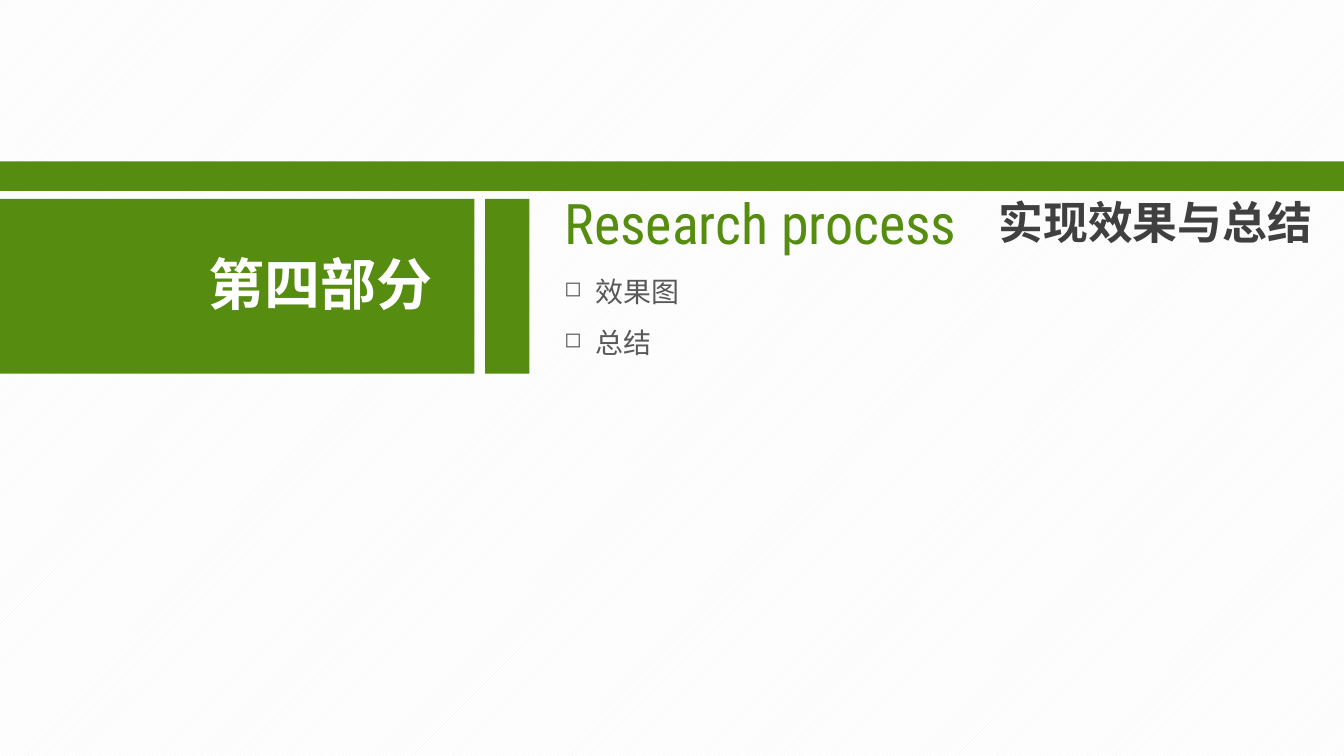
import pptx
import pptx.dml.color
import pptx.enum.dml
import pptx.enum.shapes
import pptx.enum.text
import pptx.oxml.ns
import pptx.util
import lxml.etree

Inches = pptx.util.Inches
GREEN = "568D11"
CJK = "Noto Sans CJK SC"
LATIN = "Roboto Condensed"


def tint(code):
    return pptx.dml.color.RGBColor.from_string(code)


def add_tag(parent, tag, **attrs):
    return lxml.etree.SubElement(parent, pptx.oxml.ns.qn(tag), **attrs)


def add_bar(slide, left, top, width, height):
    bar = slide.shapes.add_shape(
        pptx.enum.shapes.MSO_SHAPE.RECTANGLE,
        Inches(left), Inches(top), Inches(width), Inches(height))
    bar.shadow.inherit = False
    bar.fill.solid()
    bar.fill.fore_color.rgb = tint(GREEN)
    bar.line.fill.background()


def add_label(slide, box, text, size, color, font=CJK, bold=False):
    shape = slide.shapes.add_textbox(*map(Inches, box))
    frame = shape.text_frame
    frame.word_wrap = False
    frame.auto_size = pptx.enum.text.MSO_AUTO_SIZE.SHAPE_TO_FIT_TEXT
    frame.margin_left = frame.margin_right = Inches(0.07)
    frame.margin_top = frame.margin_bottom = Inches(0.04)
    para = frame.paragraphs[0]
    run = para.add_run()
    run.text = text
    run.font.size = pptx.util.Pt(size)
    run.font.bold = bold
    run.font.color.rgb = tint(color)
    run.font.name = font
    add_tag(run.font._element, "a:ea", typeface=font)
    return para


def add_bullet(para, indent):
    props = para._p.get_or_add_pPr()
    props.set("marL", str(Inches(indent)))
    props.set("indent", str(-Inches(indent)))
    add_tag(props, "a:buSzPct", val="75000")
    add_tag(props, "a:buChar", char="◻")


def paint_back(slide):
    fill = slide.background.fill
    fill.patterned()
    fill.pattern = pptx.enum.dml.MSO_PATTERN.LIGHT_UPWARD_DIAGONAL
    fill.fore_color.rgb = tint("F2F2F2")
    fill.back_color.rgb = tint("FFFFFF")


def add_banner(slide, left, top, width):
    """Place the full-width strip, the part number block and the narrow bar."""
    low = top + 0.28
    add_bar(slide, left, top, width, 0.22)
    add_bar(slide, left, low, 3.53, 1.3)
    add_bar(slide, left + 3.61, low, 0.33, 1.3)
    add_label(slide, (left + 1.48, low + 0.34, 1.83, 0.58),
              "第四部分", 30, "FFFFFF", bold=True)


def add_topics(slide, left, top):
    """Place the two-language title and the topic list under it."""
    add_label(slide, (left, top, 3.28, 0.58),
              "Research process", 30, GREEN, font=LATIN)
    add_label(slide, (left + 3.23, top + 0.05, 2.51, 0.48),
              "实现效果与总结", 24, "404040", bold=True)
    for row, (topic, width) in enumerate([("效果图", 1.02), ("总结", 0.81)]):
        box = (left, top + 0.64 + row * 0.38, width, 0.33)
        add_bullet(add_label(slide, box, topic, 15, "595959"), 0.23)


def main():
    deck = pptx.Presentation()
    deck.slide_width = Inches(10)
    deck.slide_height = Inches(10 * 9 / 16)
    slide = deck.slides.add_slide(deck.slide_layouts[6])
    paint_back(slide)
    add_banner(slide, 0, 1.2, 10)
    add_topics(slide, 4.13, 1.36)
    deck.save("out.pptx")


if __name__ == "__main__":
    main()
